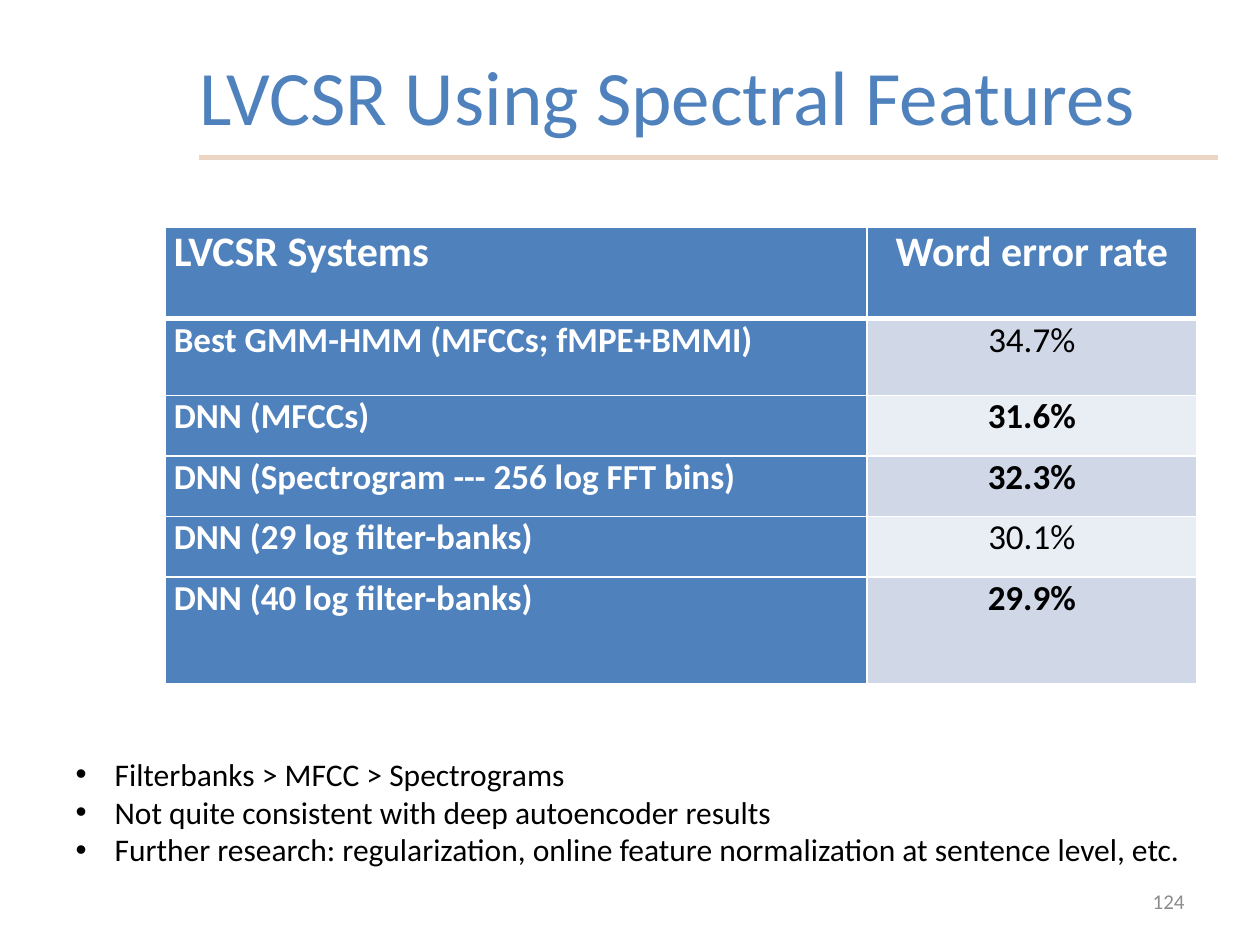
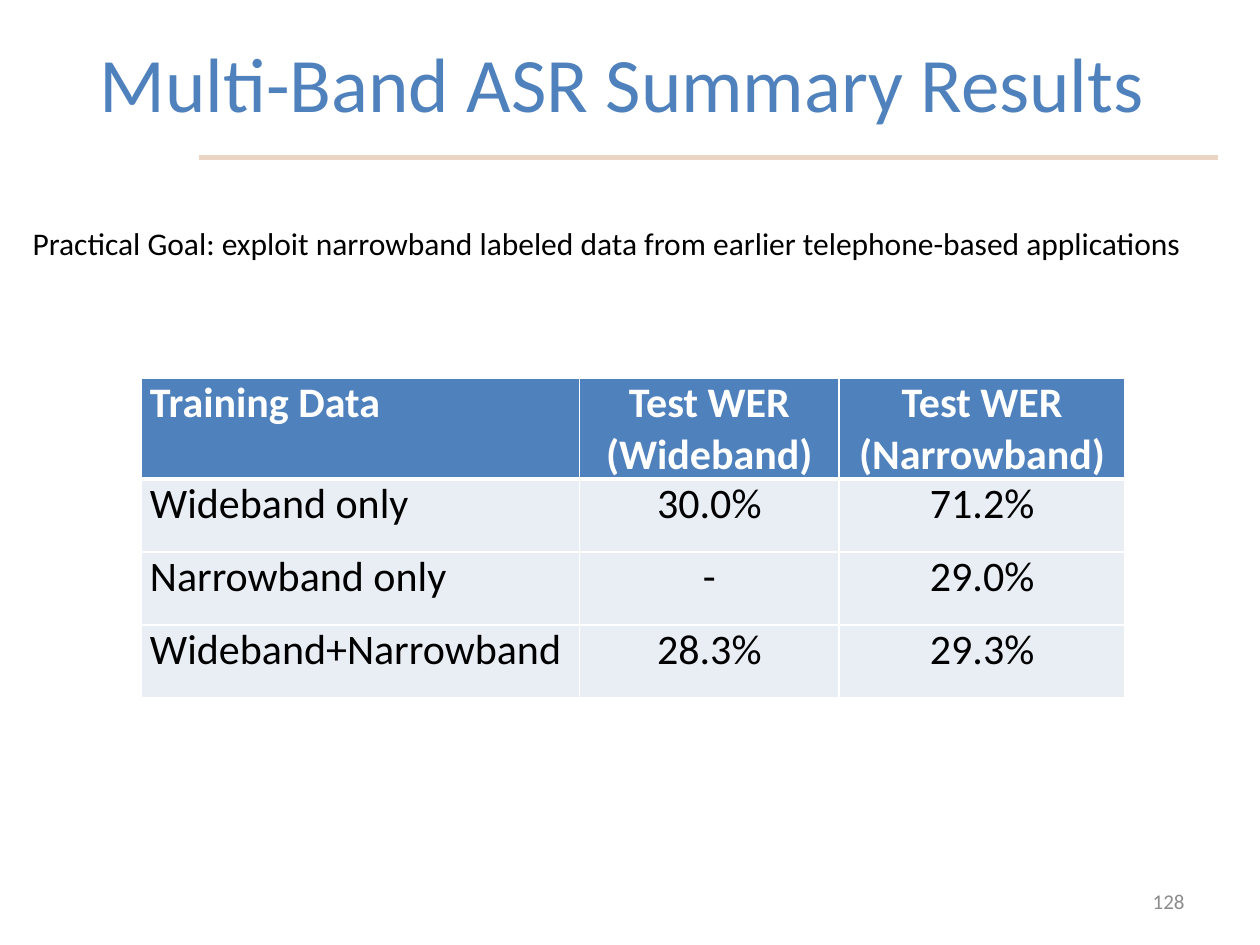
from lxml.etree import SubElement
from pptx import Presentation
from pptx.dml.color import RGBColor
from pptx.enum.shapes import MSO_CONNECTOR
from pptx.enum.text import MSO_ANCHOR, MSO_AUTO_SIZE, PP_ALIGN
from pptx.oxml import parse_xml
from pptx.oxml.ns import nsdecls, qn
from pptx.util import Inches, Pt

FONT = "Calibri"
COLORS = {
    "blue": "4F81BD", "rule": "ECD5C2", "number": "8C8C8C", "black": "000000",
    "white": "FFFFFF", "band_dark": "D0D8E8", "band_light": "E9EDF4",
}
TITLE_AND_CONTENT, TITLE_ONLY = 1, 5

# Each result: system, word error rate, whether the rate is bold
SPECTRAL_HEADER = ["LVCSR Systems", "Word error rate"]
SPECTRAL_RESULTS = [
    ("Best GMM-HMM (MFCCs; fMPE+BMMI)", "34.7%", False),
    ("DNN (MFCCs)", "31.6%", True),
    ("DNN (Spectrogram --- 256 log FFT bins)", "32.3%", True),
    ("DNN (29 log filter-banks)", "30.1%", False),
    ("DNN (40 log filter-banks)", "29.9%", True),
]
FINDINGS = [
    "Filterbanks > MFCC > Spectrograms",
    "Not quite consistent with deep autoencoder results",
    "Further research: regularization, online feature normalization at sentence level, etc.",
]
BAND_HEADER = ["Training Data", "Test WER (Wideband)", "Test WER (Narrowband)"]
BAND_RESULTS = [
    ("Wideband only", "30.0%", "71.2%"),
    ("Narrowband only", "-", "29.0%"),
    ("Wideband+Narrowband", "28.3%", "29.3%"),
]
GOAL = ("Practical Goal: exploit narrowband labeled data "
        "from earlier telephone-based applications")


def rgb(name):
    return RGBColor.from_string(COLORS[name])


def write(para, text, size, color="black", bold=False, align=PP_ALIGN.LEFT):
    para.alignment = align
    para.space_before = Pt(0)
    span = para.add_run()
    span.text = text
    span.font.name = FONT
    span.font.size = Pt(size)
    span.font.bold = bold
    span.font.color.rgb = rgb(color)


def place(shape, left, top, width, height):
    shape.left, shape.top = Inches(left), Inches(top)
    shape.width, shape.height = Inches(width), Inches(height)


def add_text_box(page, left, top, width, height):
    return page.shapes.add_textbox(
        Inches(left), Inches(top), Inches(width), Inches(height)).text_frame


def add_page(deck, layout, title, title_at, number):
    """Add a slide with its title, the rule below it and the slide number."""
    page = deck.slides.add_slide(deck.slide_layouts[layout])
    rule = page.shapes.add_connector(
        MSO_CONNECTOR.STRAIGHT, Inches(1.58), Inches(1.25), Inches(9.67), Inches(1.25))
    rule.line.color.rgb = rgb("rule")
    rule.line.width = Pt(3)
    SubElement(rule._element.spPr, qn("a:effectLst"))

    place(page.shapes.title, *title_at)
    frame = page.shapes.title.text_frame
    frame.auto_size = MSO_AUTO_SIZE.NONE
    frame.vertical_anchor = MSO_ANCHOR.MIDDLE
    write(frame.paragraphs[0], title, 44, "blue", align=PP_ALIGN.CENTER)

    frame = add_text_box(page, 7.17, 6.95, 2.33, 0.4)
    frame.word_wrap = True
    frame.vertical_anchor = MSO_ANCHOR.MIDDLE
    write(frame.paragraphs[0], number, 12, "number", align=PP_ALIGN.RIGHT)
    return page


def set_borders(cell, top, bottom):
    """Give a cell white borders; top and bottom widths are in points."""
    widths = {"lnL": 1, "lnR": 1, "lnT": top, "lnB": bottom}
    for position, (tag, width) in enumerate(widths.items()):
        border = parse_xml(
            f'<a:{tag} {nsdecls("a")} w="{Pt(width)}"><a:solidFill>'
            f'<a:srgbClr val="{COLORS["white"]}"/></a:solidFill></a:{tag}>')
        cell._tc.get_or_add_tcPr().insert(position, border)


def add_results(page, left, top, columns, rows, cells):
    """cells holds rows of (text, size, text colour, bold, fill)."""
    table = page.shapes.add_table(
        len(rows), len(columns), Inches(left), Inches(top),
        Inches(sum(columns)), Inches(sum(rows))).table
    table.first_row = table.horz_banding = False
    for column, width in zip(table.columns, columns):
        column.width = Inches(width)
    for index, (row, height) in enumerate(zip(table.rows, rows)):
        row.height = Inches(height)
        for col, (text, size, color, bold, fill) in enumerate(cells[index]):
            cell = row.cells[col]
            cell.margin_left = cell.margin_right = Inches(0.07)
            cell.margin_top = cell.margin_bottom = 0
            cell.fill.solid()
            cell.fill.fore_color.rgb = rgb(fill)
            set_borders(cell, 3 if index == 1 else 1, 3 if index == 0 else 1)
            write(cell.text_frame.paragraphs[0], text, size, color, bold,
                  PP_ALIGN.CENTER if col else PP_ALIGN.LEFT)


def header_cells(labels):
    return [(label, 24, "white", True, "blue") for label in labels]


def add_bullets(body, items, size, indent):
    frame = body.text_frame
    frame.auto_size = MSO_AUTO_SIZE.NONE
    for index, item in enumerate(items):
        para = frame.add_paragraph() if index else frame.paragraphs[0]
        properties = para._p.get_or_add_pPr()
        properties.set("marL", str(Inches(indent)))
        properties.set("indent", str(-Inches(indent)))
        SubElement(properties, qn("a:buFont"), typeface="Arial")
        SubElement(properties, qn("a:buChar"), char="•")
        write(para, item, size)


def build_spectral_page(deck):
    page = add_page(deck, TITLE_AND_CONTENT, "LVCSR Using Spectral Features",
                    (0.8, 0.13, 9, 1.25), "124")
    cells = [header_cells(SPECTRAL_HEADER)]
    for index, (system, rate, bold) in enumerate(SPECTRAL_RESULTS):
        band = "band_light" if index % 2 else "band_dark"
        cells.append([(system, 20, "white", True, "blue"),
                      (rate, 20, "black", bold, band)])
    add_results(page, 1.31, 1.8, [5.57, 2.62],
                [0.73, 0.61, 0.48, 0.48, 0.48, 0.85], cells)
    body = page.placeholders[1]
    place(body, 0.5, 5.94, 9.3, 1.01)
    add_bullets(body, FINDINGS, 18, 0.31)


def build_band_page(deck):
    page = add_page(deck, TITLE_ONLY, "Multi-Band ASR Summary Results",
                    (-0.04, 0.02, 9.96, 1.25), "128")
    cells = [header_cells(BAND_HEADER)]
    cells += [[(text, 24, "black", False, "band_light") for text in result]
              for result in BAND_RESULTS]
    add_results(page, 1.12, 3, [3.48, 2.06, 2.27],
                [0.8] + [0.58] * len(BAND_RESULTS), cells)
    frame = add_text_box(page, 0.16, 1.73, 9.55, 0.4)
    frame.word_wrap = False
    write(frame.paragraphs[0], GOAL, 18)


def main():
    deck = Presentation()
    deck.slide_width, deck.slide_height = Inches(10), Inches(7.5)
    build_spectral_page(deck)
    build_band_page(deck)
    deck.save("out.pptx")


if __name__ == "__main__":
    main()
